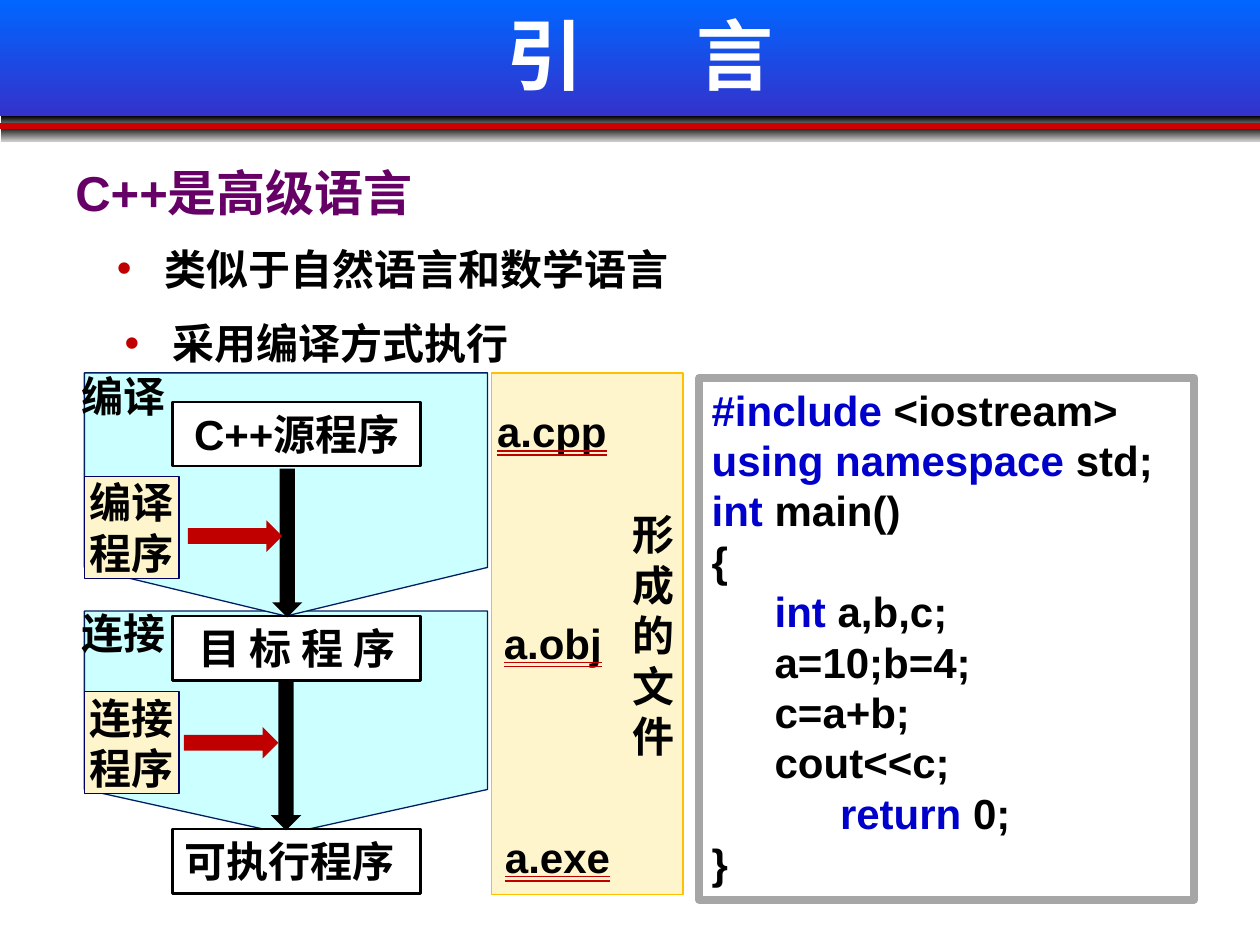
from lxml import etree
from pptx import Presentation
from pptx import util as u
from pptx.dml.color import RGBColor
from pptx.enum import shapes, text
from pptx.oxml import ns

BLACK = RGBColor(0, 0, 0)
WHITE = RGBColor(255, 255, 255)
SKY = RGBColor(0x00, 0x66, 0xFF)
INDIGO = RGBColor(0x33, 0x33, 0xCC)
SILVER = RGBColor(0xC8, 0xC8, 0xC8)
GRAY = RGBColor(0xA6, 0xA6, 0xA6)
RED = RGBColor(0xCC, 0, 0)
CRIMSON = RGBColor(0xC0, 0, 0)
PURPLE = RGBColor(0x66, 0, 0x66)
BLUE = RGBColor(0, 0, 0xCC)
NAVY = RGBColor(0, 0x20, 0x60)
MARINE = RGBColor(0, 0, 0x66)
CREAM = RGBColor(0xFF, 0xF5, 0xCC)
GOLD = RGBColor(0xFF, 0xC0, 0)
CYAN = RGBColor(0xCC, 0xFF, 0xFF)

KIND = shapes.MSO_SHAPE
LEFT, CENTER = text.PP_ALIGN.LEFT, text.PP_ALIGN.CENTER
TOP, MIDDLE = text.MSO_ANCHOR.TOP, text.MSO_ANCHOR.MIDDLE
BOTTOM = text.MSO_ANCHOR.BOTTOM
CJK = "Noto Sans CJK SC"

CODE = [
    [("#include ", BLUE), ("<iostream>", BLACK)],
    [("using namespace ", BLUE), ("std;", BLACK)],
    [("int", BLUE), (" main()", BLACK)],
    [("{", BLACK)],
    [("\t", BLACK), ("int ", BLUE), ("a,b,c;", BLACK)],
    [("\ta=10;b=4;", BLACK)],
    [("\tc=a+b;", BLACK)],
    [("\tcout<<c;", BLACK)],
    [("           ", BLACK), ("return", BLUE), (" 0;", BLACK)],
    [("}", BLACK)],
]


def sub(node, tag, **attrs):
    return etree.SubElement(node, ns.qn(tag), **attrs)


def tint(node, color):
    sub(node, "a:srgbClr", val=str(color))


class Deck:
    def __init__(self):
        self.show = Presentation()
        self.show.slide_width = u.Inches(10)
        self.show.slide_height = u.Inches(7.5)
        self.slide = self.show.slides.add_slide(self.show.slide_layouts[6])
        self.face, self.size = "Arial", 24

    def style(self, para, color=BLACK, face=None, size=None, align=LEFT):
        para.alignment = align
        font = para.font
        font.name, font.size = face or self.face, u.Pt(size or self.size)
        font.bold = True
        if color is not None:
            font.color.rgb = color
        sub(para._p.pPr.find(ns.qn("a:defRPr")), "a:ea", typeface=CJK)

    def shape(self, kind, at, fill=None, line=None, width=0.75, turn=0):
        item = self.slide.shapes.add_shape(kind, *map(u.Inches, at))
        item.shadow.inherit = False
        item.rotation = turn
        if fill is None:
            item.fill.background()
        else:
            item.fill.solid()
            item.fill.fore_color.rgb = fill
        if line is None:
            item.line.fill.background()
        else:
            item.line.color.rgb = line
            item.line.width = u.Pt(width)
        return item

    def fade(self, at, *colors):
        item = self.shape(KIND.RECTANGLE, at)
        item.fill.gradient()
        item.fill.gradient_angle = 270
        for stop, color in zip(item.fill.gradient_stops, colors):
            stop.color.rgb = color

    def rule(self, start, end, color, width):
        item = self.slide.shapes.add_connector(
            shapes.MSO_CONNECTOR.STRAIGHT, *map(u.Inches, start + end))
        item.line.color.rgb = color
        item.line.width = u.Pt(width)
        sub(item._element.spPr, "a:effectLst")

    def frame(self, item, anchor=TOP, inset=None):
        frame = item.text_frame
        frame.word_wrap = True
        frame.vertical_anchor = anchor
        if inset is not None:
            frame.margin_left = frame.margin_right = u.Inches(inset)
            frame.margin_top = frame.margin_bottom = u.Inches(inset)
        return frame

    def put(self, item, words, anchor=TOP, inset=None, **style):
        para = self.frame(item, anchor, inset).paragraphs[0]
        para.add_run().text = words
        self.style(para, **style)
        return para

    def label(self, at, words, **style):
        box = self.slide.shapes.add_textbox(*map(u.Inches, at))
        return self.put(box, words, **style)

    def title(self, at, first, last):
        para = self.label(at, first, anchor=BOTTOM, color=WHITE, size=44,
                          face="Times New Roman", align=CENTER)
        gap = para.add_run()
        gap.text = " "
        gap._r.get_or_add_rPr().set("spc", "5500")
        para.add_run().text = last

    def bullet(self, at, words):
        box = self.slide.shapes.add_textbox(*map(u.Inches, at))
        para = self.frame(box).paragraphs[0]
        para.add_run().text = words
        props = para._p.get_or_add_pPr()
        props.set("marL", str(u.Inches(0.38)))
        props.set("indent", str(u.Inches(-0.38)))
        tint(sub(props, "a:buClr"), CRIMSON)
        sub(props, "a:buFont", typeface="Arial")
        sub(props, "a:buChar", char="•")
        self.style(para, face="Times New Roman")

    def file(self, at, words, align):
        run = self.label(at, words, align=align).runs[0]
        run.font.underline = text.MSO_UNDERLINE.DOUBLE_LINE
        under = sub(run._r.get_or_add_rPr(), "a:uFill")
        tint(sub(under, "a:solidFill"), CRIMSON)

    def tag(self, at, words):
        item = self.shape(KIND.PENTAGON, at)
        item.adjustments[0] = 0
        self.put(item, words, face=CJK)

    def code(self, at, lines):
        item = self.shape(KIND.RECTANGLE, at, line=GRAY, width=4.5)
        frame = self.frame(item)
        for num, line in enumerate(lines):
            para = frame.add_paragraph() if num else frame.paragraphs[0]
            for words, color in line:
                run = para.add_run()
                run.text = words
                run.font.color.rgb = color
            self.style(para, color=None)


def main():
    deck = Deck()
    deck.shape(KIND.RECTANGLE, (3.9, 2.96, 1.52, 4.14), CREAM, GOLD)
    for top, height in ((4.85, 1.77), (2.96, 1.93)):
        deck.shape(KIND.FLOWCHART_OFFPAGE_CONNECTOR,
                   (0.67, top, 3.2, height), CYAN, NAVY)

    deck.fade((0, 0, 10, 0.92), SKY, INDIGO)
    for top in (0.92, 1):
        deck.fade((0.01, top, 9.99, 0.12), BLACK, SILVER)
    deck.rule((0, 1), (10, 1), RED, 3)
    deck.title((0.83, -0.08, 8.5, 0.92), "引", "言")

    deck.label((0.5, 1.24, 2.92, 0.57), "C++是高级语言",
               anchor=MIDDLE, color=PURPLE, size=28)
    deck.bullet((0.83, 1.88, 6.42, 0.51), "类似于自然语言和数学语言")
    deck.bullet((0.89, 2.47, 6.42, 0.51), "采用编译方式执行")
    deck.code((5.55, 3, 3.93, 4.14), CODE)

    for top, words, align in ((3.19, "C++源程序", CENTER),
                              (4.89, "目 标 程 序", CENTER),
                              (6.58, "可执行程序", LEFT)):
        box = deck.shape(KIND.RECTANGLE, (1.37, top, 1.97, 0.51),
                         WHITE, BLACK, 1.5)
        deck.put(box, words, align=align)
    for left, top in ((1.69, 4.19), (1.68, 5.88)):
        deck.shape(KIND.RIGHT_ARROW, (left, top, 1.18, 0.24), BLACK, turn=90)
    for top, words in ((3.78, "编译程序"), (5.49, "连接程序")):
        box = deck.shape(KIND.RECTANGLE, (0.67, top, 0.75, 0.81),
                         CREAM, MARINE)
        deck.put(box, words, MIDDLE, 0, face=CJK, align=CENTER)
    for left, top in ((1.49, 4.13), (1.46, 5.77)):
        deck.shape(KIND.RIGHT_ARROW, (left, top, 0.75, 0.25), CRIMSON)

    deck.file((3.76, 3.17, 1.24, 0.51), "a.cpp", CENTER)
    deck.file((3.9, 4.85, 1.48, 0.51), "a.obj", LEFT)
    deck.file((3.88, 6.55, 1.09, 0.51), "a.exe", CENTER)
    deck.tag((0.55, 2.89, 1.66, 0.55), "编译")
    deck.tag((0.55, 4.77, 1.66, 0.55), "连接")
    deck.tag((4.92, 3.99, 0.57, 2.22), "形成的文件")
    deck.show.save("out.pptx")


if __name__ == "__main__":
    main()
